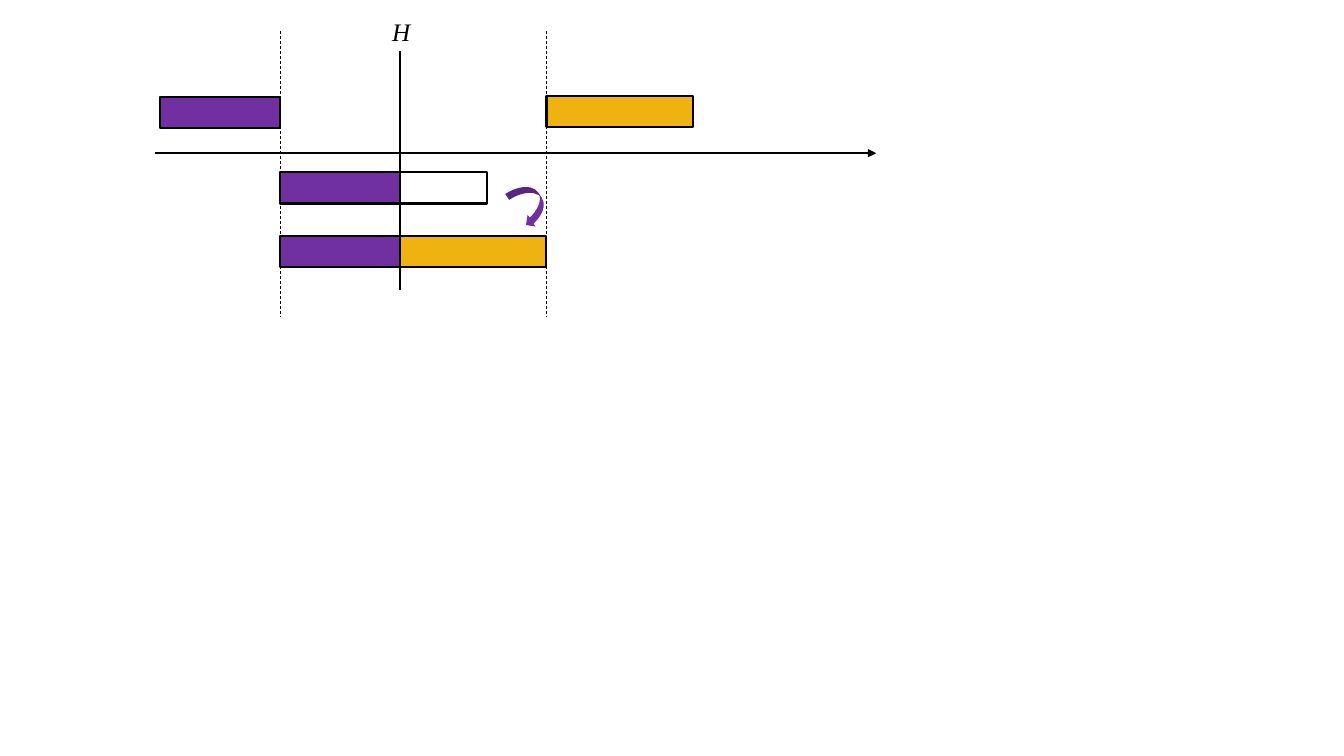
from pptx import Presentation
from pptx.dml.color import RGBColor
from pptx.enum.dml import MSO_LINE
from pptx.enum.shapes import MSO_CONNECTOR, MSO_SHAPE
from pptx.enum.text import MSO_AUTO_SIZE, PP_ALIGN
from pptx.oxml.ns import qn
from pptx.util import Pt
from lxml.etree import SubElement

SCALE = 9144
BLACK, PURPLE, GOLD = "000000", "7030A0", "EEB211"
LEFT, MIDDLE, RIGHT = 278, 397, 542
PURPLE_W, GOLD_W, BAR_H = MIDDLE - LEFT, RIGHT - MIDDLE, 31


def px(*values):
    return [v * SCALE for v in values]


def rgb(color):
    return RGBColor.from_string(color)


def set_attrs(obj, attrs):
    for name, value in attrs.items():
        setattr(obj, name, value)


def add_figure(s, kind, x, y, w, h, fill=None, outline=None):
    sp = s.shapes.add_shape(kind, *px(x, y, w, h))
    sp.shadow.inherit = False
    if fill:
        sp.fill.solid()
        sp.fill.fore_color.rgb = rgb(fill)
    else:
        sp.fill.background()
    if outline:
        sp.line.color.rgb = rgb(outline)
        sp.line.width = Pt(1.5)
    else:
        sp.line.fill.background()
    return sp


def add_bar(s, x, y, w, fill=None):
    return add_figure(s, MSO_SHAPE.RECTANGLE, x, y, w, BAR_H, fill, BLACK)


def add_line(s, x1, y1, x2, y2, width=1.5, dash=None, arrow=False):
    cxn = s.shapes.add_connector(MSO_CONNECTOR.STRAIGHT, *px(x1, y1, x2, y2))
    cxn.line.color.rgb = rgb(BLACK)
    set_attrs(cxn.line, {"width": Pt(width), "dash_style": dash})
    if arrow:
        SubElement(cxn.line._get_or_add_ln(), qn("a:tailEnd"), type="triangle")
    SubElement(cxn._element.spPr, qn("a:effectLst"))
    return cxn


def add_label(s, text, x, y, w, h):
    sp = s.shapes.add_textbox(*px(x, y, w, h))
    tf = sp.text_frame
    set_attrs(tf, {"word_wrap": False, "auto_size": MSO_AUTO_SIZE.SHAPE_TO_FIT_TEXT})
    p = tf.paragraphs[0]
    p.alignment = PP_ALIGN.LEFT
    r = p.add_run()
    r.text = text
    set_attrs(r.font, {"name": "Times New Roman", "size": Pt(18), "italic": True})
    r.font.color.rgb = rgb(BLACK)
    return sp


def main():
    prs = Presentation()
    prs.slide_width, prs.slide_height = px(1333, 750)
    s = prs.slides.add_slide(prs.slide_layouts[6])

    add_bar(s, LEFT, 171, PURPLE_W, PURPLE)
    add_line(s, 154, 152, 869, 152, arrow=True)
    label = add_label(s, "H", MIDDLE - 18, 11, 36, 40)
    divider = add_line(s, MIDDLE, 51, MIDDLE, 288)
    divider.begin_connect(label, 2)

    add_bar(s, MIDDLE, 234, GOLD_W, GOLD)
    arrow = add_figure(s, MSO_SHAPE.CURVED_LEFT_ARROW, 511, 181, 28, 44, PURPLE)
    arrow.rotation = 326.2
    add_bar(s, LEFT, 234, PURPLE_W, PURPLE)
    add_bar(s, MIDDLE, 171, 86)
    add_bar(s, LEFT - PURPLE_W, 96, PURPLE_W, PURPLE)
    for x in (LEFT, RIGHT):
        add_line(s, x, 31, x, 314, 0.5, MSO_LINE.DASH)
    add_bar(s, RIGHT, 95, GOLD_W, GOLD)

    prs.save("out.pptx")


if __name__ == "__main__":
    main()
